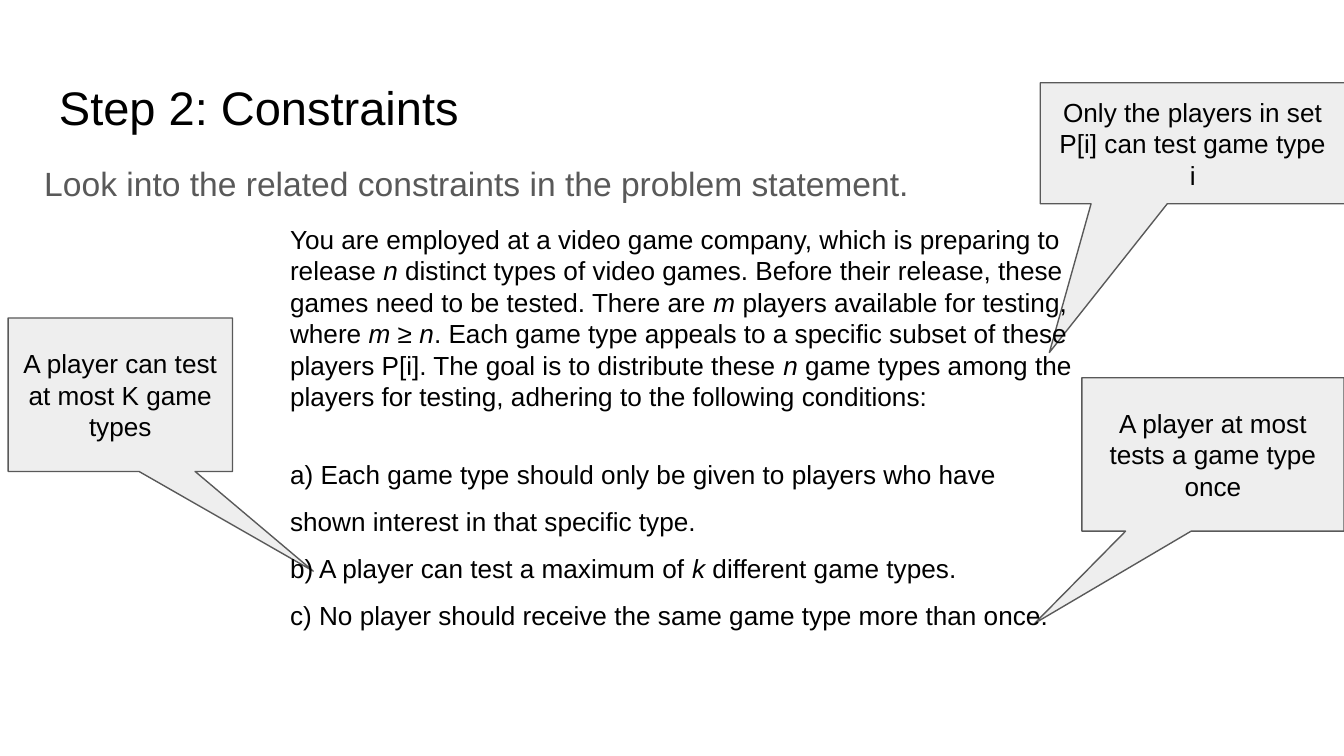
"""Build the slide on the constraints of the game testing problem."""
from pptx import Presentation
from pptx.dml.color import RGBColor
from pptx.enum.shapes import MSO_SHAPE
from pptx.enum.text import MSO_ANCHOR, PP_ALIGN
from pptx.util import Pt

BLACK = RGBColor(0x00, 0x00, 0x00)
GRAY = RGBColor(0x59, 0x59, 0x59)
LIGHT = RGBColor(0xEE, 0xEE, 0xEE)
FONT = "Arial"
INSET = 7.2

TITLE = "Step 2: Constraints"
SUBTITLE = "Look into the related constraints in the problem statement."
PROBLEM = (
    "You are employed at a video game company, which is preparing to release *n* distinct "
    "types of video games. Before their release, these games need to be tested. There are "
    "*m* players available for testing, where *m ≥ n*. Each game type appeals to a specific "
    "subset of these players P[i]. The goal is to distribute these *n* game types among the "
    "players for testing, adhering to the following conditions:"
)
CONDITIONS = [
    "a) Each game type should only be given to players who have shown interest in that specific type.",
    "b) A player can test a maximum of *k* different game types.",
    "c) No player should receive the same game type more than once.",
]
CALLOUTS = [
    ("Only the players in set P[i] can test game type i", (557.3, 44.4, 163.3, 64.8), (-0.47, 1.73)),
    ("A player can test at most K game types", (4.4, 170.4, 120.2, 82.2), (0.86, 1.15)),
    ("A player at most tests a game type once", (579.6, 202.4, 140.4, 82.2), (-0.68, 1.1)),
]


def setup_frame(tf, inset=INSET, anchor=MSO_ANCHOR.TOP):
    tf.word_wrap = True
    tf.vertical_anchor = anchor
    tf.margin_left = tf.margin_right = Pt(inset)
    tf.margin_top = tf.margin_bottom = Pt(inset)


def write(p, text, size, color=BLACK):
    for i, part in enumerate(text.split("*")):
        r = p.add_run()
        r.text = part
        r.font.name = FONT
        r.font.size = Pt(size)
        r.font.color.rgb = color
        r.font.italic = i % 2 == 1


def add_text(s, box):
    tf = s.shapes.add_textbox(*map(Pt, box)).text_frame
    setup_frame(tf)
    return tf


def add_callout(s, text, box, tip):
    sp = s.shapes.add_shape(MSO_SHAPE.RECTANGULAR_CALLOUT, *map(Pt, box))
    sp.shadow.inherit = False
    sp.adjustments[0], sp.adjustments[1] = tip
    sp.fill.solid()
    sp.fill.fore_color.rgb = LIGHT
    sp.line.color.rgb = GRAY
    sp.line.width = Pt(0.75)
    setup_frame(sp.text_frame, anchor=MSO_ANCHOR.MIDDLE)
    p = sp.text_frame.paragraphs[0]
    p.alignment = PP_ALIGN.CENTER
    write(p, text, 14)


def main():
    prs = Presentation()
    prs.slide_width, prs.slide_height = Pt(720), Pt(405)
    s = prs.slides.add_slide(prs.slide_layouts[6])

    write(add_text(s, (24.5, 35, 671, 45.1)).paragraphs[0], TITLE, 25.2)

    p = add_text(s, (16.6, 77, 671, 142.6)).paragraphs[0]
    p.line_spacing = 1.15
    write(p, SUBTITLE, 18, GRAY)

    for text, box, tip in CALLOUTS:
        add_callout(s, text, box, tip)

    tf = add_text(s, (148.3, 116.2, 436.3, 225))
    tf.margin_top = tf.margin_bottom = Pt(3.6)
    p = tf.paragraphs[0]
    p.space_after = Pt(16.7)
    write(p, PROBLEM, 14)
    for text in CONDITIONS:
        p = tf.add_paragraph()
        p.line_spacing = 1.5
        write(p, text, 14)

    prs.save("out.pptx")


if __name__ == "__main__":
    main()
